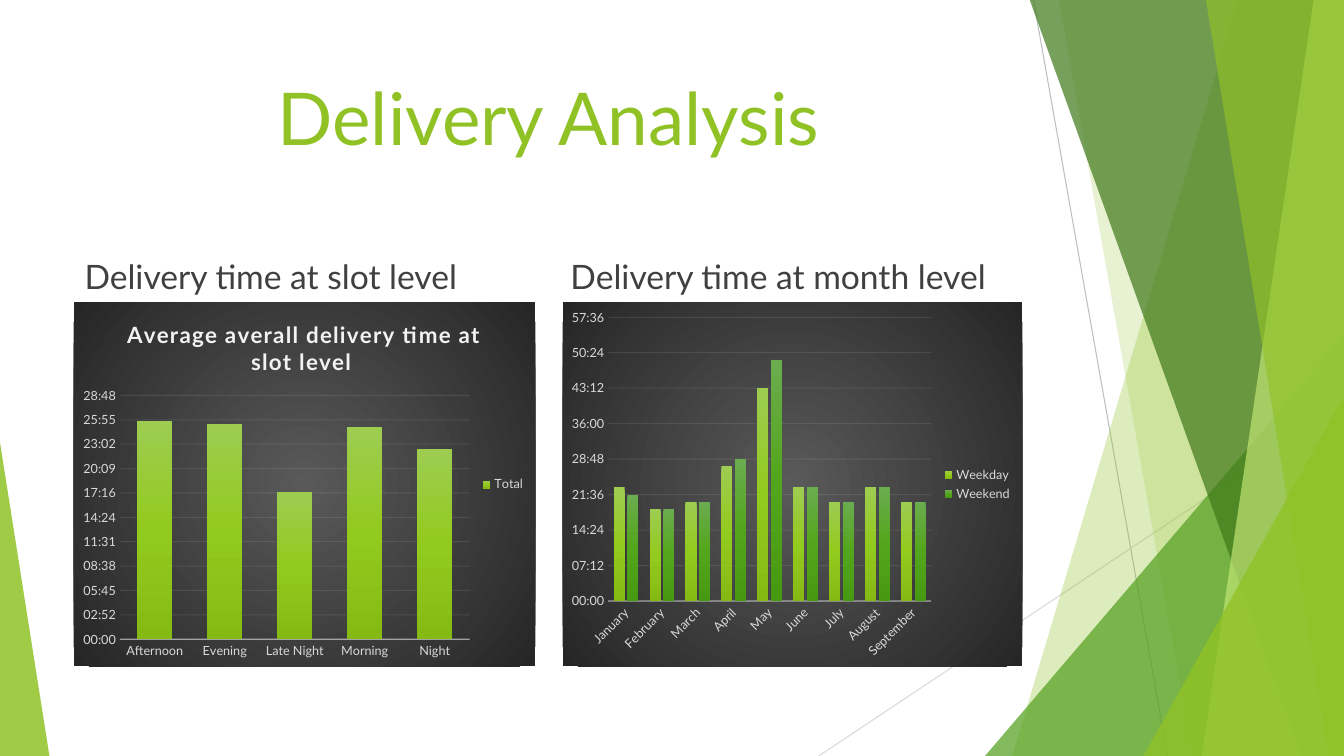
from lxml import etree
from pptx import Presentation
from pptx.chart.data import CategoryChartData
from pptx.dml.color import RGBColor
from pptx.enum.chart import XL_CHART_TYPE as ChartType, XL_LEGEND_POSITION as LegendPosition
from pptx.enum.chart import XL_TICK_MARK as TickMark
from pptx.enum.shapes import MSO_CONNECTOR as Connector, MSO_SHAPE as Shape
from pptx.enum.text import MSO_ANCHOR as Anchor, PP_ALIGN as Align
from pptx.oxml import parse_xml
from pptx.oxml.ns import nsdecls, qn
from pptx.util import Inches, Pt

FONT = "Lato"
COLORS = {
    "lime": "90C226", "green": "54A021", "forest": "3F7819", "pale": "C0E474",
    "text": "404040", "ray": "BFBFBF", "light_ray": "D9D9D9",
    "label": "D9D9D9", "axis": "F2F2F2",
}
BACKDROP = ["595959", "262626"]
BAR_GRADIENTS = [["9DCC51", "93CA1E", "85BA14"], ["6BAC4F", "53A61B", "489912"]]


def set_alpha(element, percent):
    """Make the first colour found in the element partly transparent."""
    color = next(element.iter(qn("a:srgbClr")))
    etree.SubElement(color, qn("a:alpha"), val=str(percent * 1000))


def gradient_properties(stops, direction):
    """Return a c:spPr with evenly spaced gradient stops and no outline."""
    step = 100000 // (len(stops) - 1)
    stop_xml = "".join(
        f'<a:gs pos="{i * step}"><a:srgbClr val="{color}"/></a:gs>' for i, color in enumerate(stops))
    return parse_xml(
        f'<c:spPr {nsdecls("c", "a")}><a:gradFill><a:gsLst>{stop_xml}</a:gsLst>{direction}'
        "</a:gradFill><a:ln><a:noFill/></a:ln></c:spPr>")


prs = Presentation()
prs.slide_width, prs.slide_height = Inches(13.33), Inches(7.5)
slide = prs.slides.add_slide(prs.slide_layouts[6])
shapes = slide.shapes

# Thin rays behind the facets
for x1, y1, x2, y2, color in [(10.25, 0, 11.58, 7.5, "ray"), (13.33, 4.03, 8.12, 7.5, "light_ray")]:
    ray = shapes.add_connector(Connector.STRAIGHT, Inches(x1), Inches(y1), Inches(x2), Inches(y2))
    ray.line.color.rgb = RGBColor.from_string(COLORS[color])
    ray.line.width = Pt(0.75)
    etree.SubElement(ray._element.spPr, qn("a:effectLst"))

# Facets: bands give their top-left and bottom-left x, triangles their box and apex
facets = [
    ("band", (12.28, 10.04), "lime", 30),
    ("band", (10.5, 11.83), "lime", 20),
    ("triangle", (9.77, 3.33, 3.56, 4.17, 1), "green", 72),
    ("band", (10.21, 12.91), "forest", 70),
    ("band", (13.03, 11.92), "pale", 70),
    ("band", (11.96, 13.18), "lime", 65),
    ("triangle", (11.34, 3.93, 1.99, 3.57, 1), "lime", 80),
    ("triangle", (0, 4.39, 0.49, 3.11, 0), "lime", 85),
]
for kind, geometry, color, opacity in facets:
    if kind == "band":
        top_x, bottom_x = geometry
        outline = shapes.build_freeform(Inches(top_x), Inches(-0.01))
        outline.add_line_segments(
            [(Inches(x), Inches(y)) for x, y in [(13.33, -0.01), (13.33, 7.5), (bottom_x, 7.5)]])
        facet = outline.convert_to_shape()
    else:
        *box, apex = geometry
        facet = shapes.add_shape(Shape.ISOSCELES_TRIANGLE, *map(Inches, box))
        facet.adjustments[0] = apex
    facet.shadow.inherit = False
    facet.line.fill.background()
    facet.fill.solid()
    facet.fill.fore_color.rgb = RGBColor.from_string(COLORS[color])
    set_alpha(facet._element.spPr, opacity)

# Title and headings
texts = [
    ("Delivery Analysis", (0.74, 0.67, 9.4, 1.44), 52, "lime", Align.CENTER, Anchor.TOP),
    ("Delivery time at slot level", (0.74, 2.36, 4.58, 0.63), 24, "text", Align.LEFT, Anchor.BOTTOM),
    ("Delivery time at month level", (5.56, 2.36, 4.58, 0.63), 24, "text", Align.LEFT, Anchor.BOTTOM),
]
for wording, box, size, color, align, anchor in texts:
    frame = shapes.add_textbox(*map(Inches, box)).text_frame
    frame.word_wrap = True
    frame.vertical_anchor = anchor
    paragraph = frame.paragraphs[0]
    paragraph.text = wording
    paragraph.alignment = align
    paragraph.font.size, paragraph.font.name = Pt(size), FONT
    paragraph.font.color.rgb = RGBColor.from_string(COLORS[color])

# Charts: delivery times are fractions of a day, shown as mm:ss
charts = [
    {
        "box": (0.73, 3, 4.58, 3.61),
        "plot": {"x": 0.1, "y": 0.256, "w": 0.758, "h": 0.67},
        "title": "Average averall delivery time at slot level ",
        "scale": (0.02, 0.002),
        "rotation": 0,
        "categories": ["Afternoon", "Evening", "Late Night", "Morning", "Night"],
        "series": {"Total": [0.0179, 0.0177, 0.0121, 0.0174, 0.0156]},
    },
    {
        "box": (5.58, 3, 4.56, 3.61),
        "plot": {"x": 0.099, "y": 0.041, "w": 0.703, "h": 0.78},
        "title": None,
        "scale": (0.04, 0.005),
        "rotation": -45,
        "categories": ["January", "February", "March", "April", "May", "June", "July", "August",
                       "September"],
        "series": {
            "Weekday": [0.016, 0.013, 0.014, 0.019, 0.03, 0.016, 0.014, 0.016, 0.014],
            "Weekend": [0.015, 0.013, 0.014, 0.02, 0.034, 0.016, 0.014, 0.016, 0.014],
        },
    },
]
for details in charts:
    data = CategoryChartData(number_format="mm:ss")
    data.categories = details["categories"]
    for name, values in details["series"].items():
        data.add_series(name, values)
    chart = shapes.add_chart(ChartType.COLUMN_CLUSTERED, *map(Inches, details["box"]), data).chart
    chart.font.name, chart.font.size = FONT, Pt(10)

    chart.has_title = details["title"] is not None
    if chart.has_title:
        heading = chart.chart_title.text_frame.paragraphs[0]
        heading.text = details["title"]
        heading.font.name, heading.font.size, heading.font.bold = FONT, Pt(16), True
        heading.font.color.rgb = RGBColor.from_string(COLORS["axis"])
        for properties in (heading.font._element, heading.runs[0].font._element):
            properties.set("spc", "100")
        chart.chart_title.include_in_layout = False

    chart.has_legend = True
    chart.legend.position = LegendPosition.RIGHT
    chart.legend.include_in_layout = False

    category_axis, value_axis = chart.category_axis, chart.value_axis
    value_axis.minimum_scale = 0
    value_axis.maximum_scale, value_axis.major_unit = details["scale"]
    value_axis.format.line.fill.background()
    value_axis.tick_labels.number_format = "mm:ss"
    value_axis.tick_labels.number_format_is_linked = False
    for line, width, element, opacity in [
        (category_axis.format.line, 1, category_axis._element, 54),
        (value_axis.major_gridlines.format.line, 0.75, value_axis._element, 10),
    ]:
        line.color.rgb = RGBColor.from_string(COLORS["axis"])
        line.width = Pt(width)
        set_alpha(element, opacity)
    for axis in (category_axis, value_axis):
        axis.major_tick_mark = axis.minor_tick_mark = TickMark.NONE
    for font in (category_axis.tick_labels.font, value_axis.tick_labels.font, chart.legend.font):
        font.name, font.size = FONT, Pt(9)
        font.color.rgb = RGBColor.from_string(COLORS["label"])
    label_body = category_axis._element.find(qn("c:txPr")).find(qn("a:bodyPr"))
    label_body.set("rot", str(details["rotation"] * 60000))

    plot = chart.plots[0]
    plot.gap_width, plot.overlap, plot.vary_by_categories = 100, -24, False
    for series, stops in zip(plot.series, BAR_GRADIENTS):
        series.format.fill.solid()
        old_properties = series._element.find(qn("c:spPr"))
        series._element.replace(
            old_properties, gradient_properties(stops, '<a:lin ang="5400000" scaled="0"/>'))

    chart_element = chart._chartSpace.find(qn("c:chart"))
    chart_element.addnext(gradient_properties(
        BACKDROP,
        '<a:path path="circle"><a:fillToRect l="50000" t="50000" r="50000" b="50000"/></a:path>'))
    plot_area = chart_element.find(qn("c:plotArea"))
    for layout in plot_area.findall(qn("c:layout")):
        plot_area.remove(layout)
    places = "".join(f'<c:{side} val="{share}"/>' for side, share in details["plot"].items())
    plot_area.insert(0, parse_xml(
        f'<c:layout {nsdecls("c")}><c:manualLayout><c:layoutTarget val="inner"/>'
        f'<c:xMode val="edge"/><c:yMode val="edge"/>{places}</c:manualLayout></c:layout>'))

prs.save("out.pptx")
